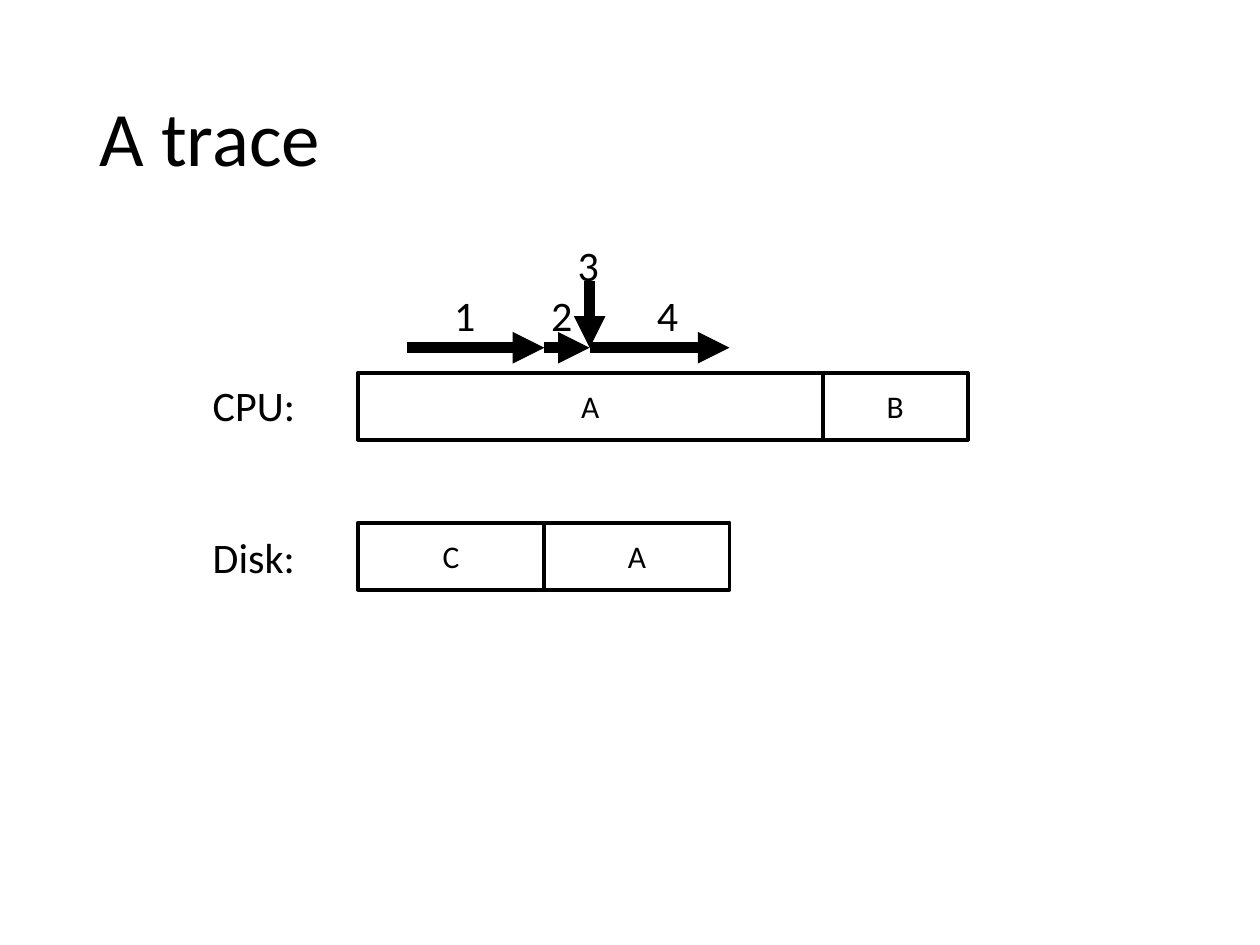
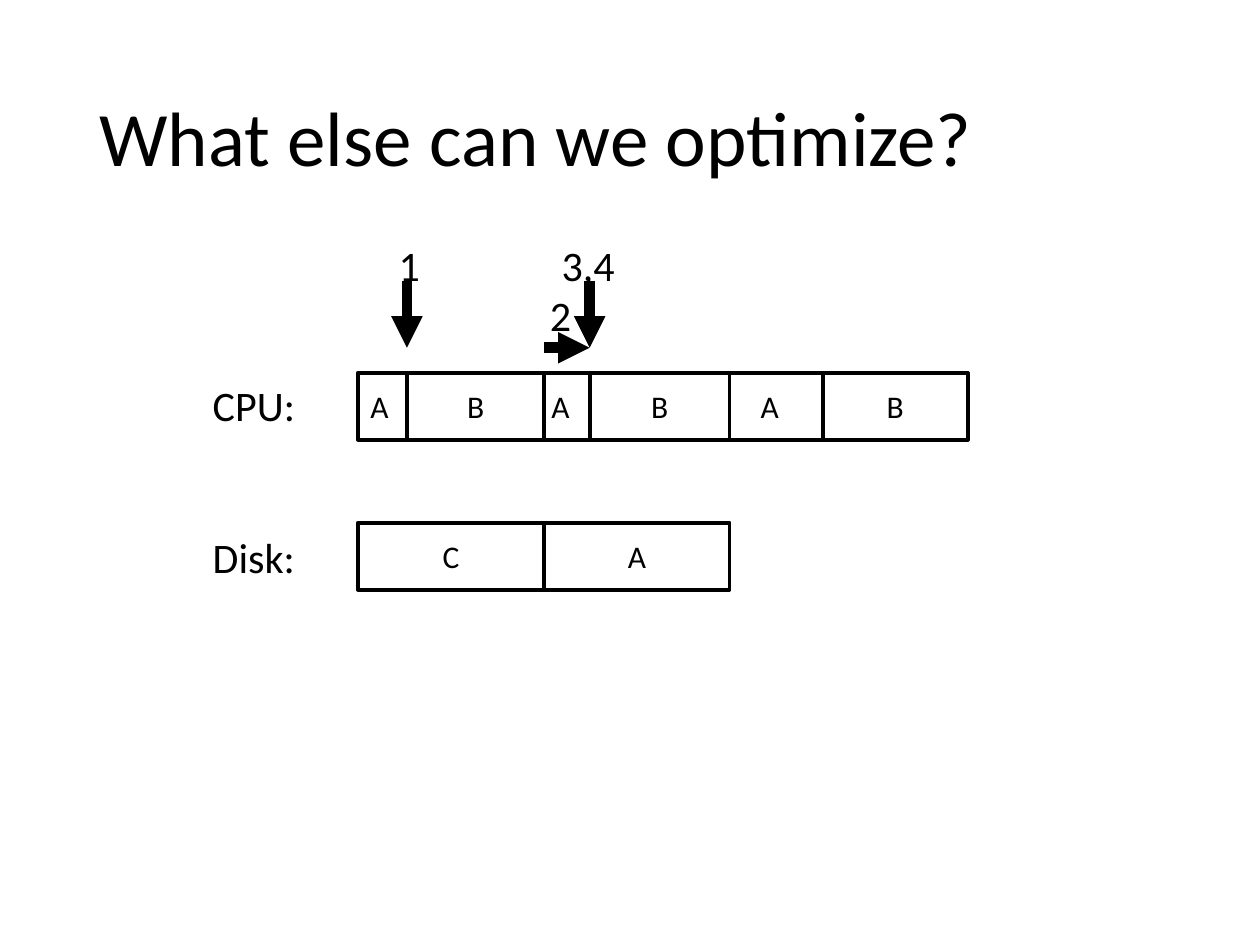
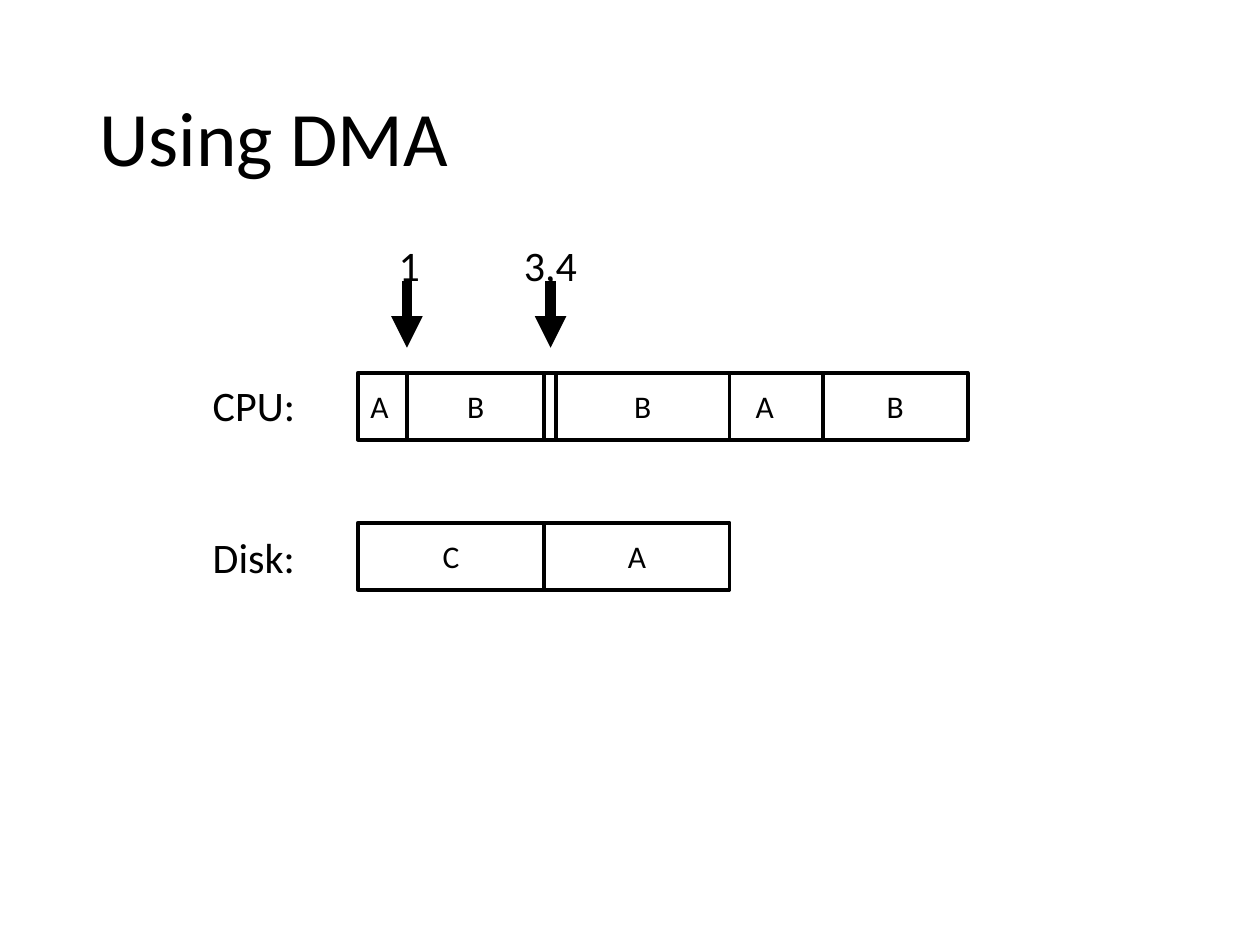
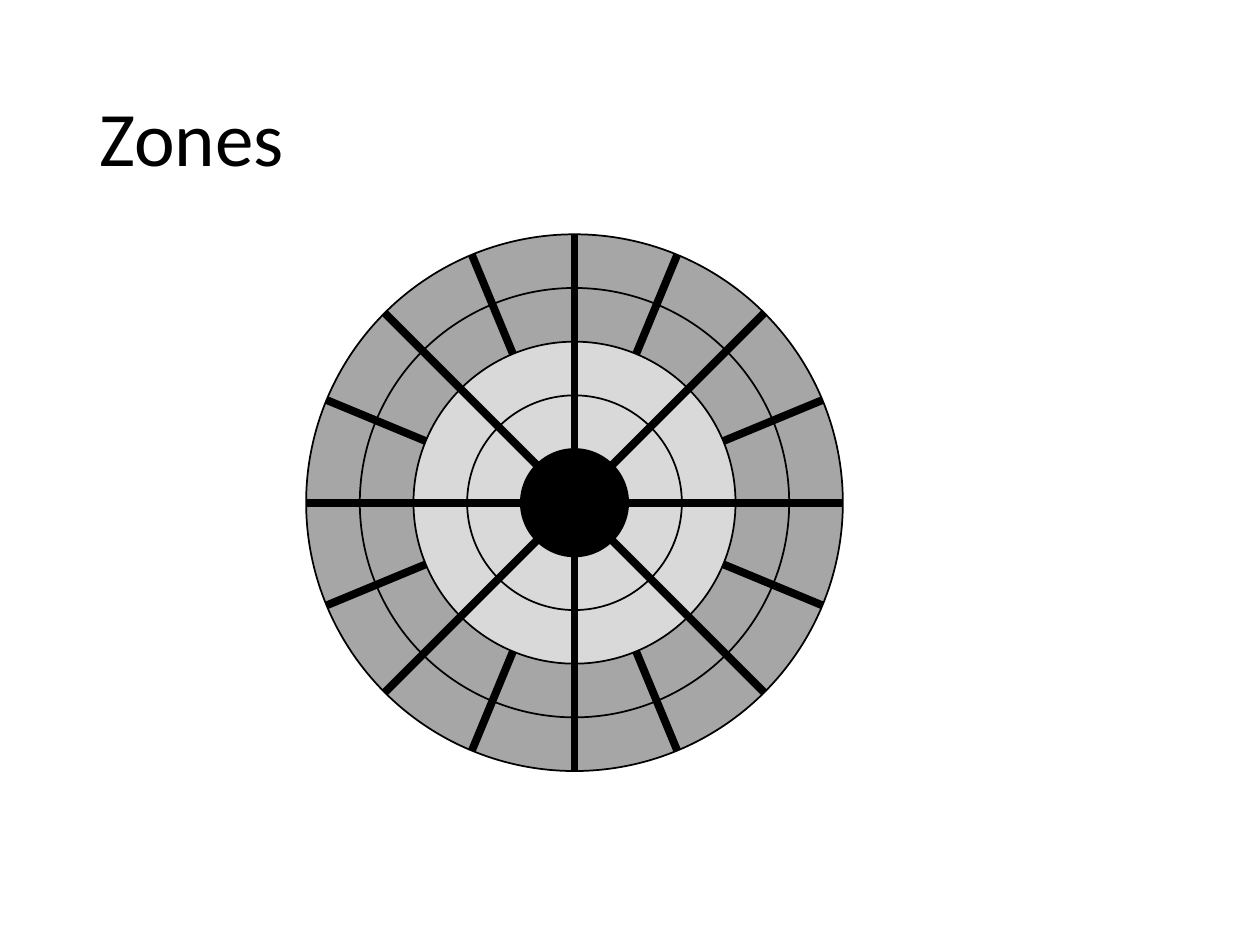
from dataclasses import dataclass
from math import cos, radians, sin

from pptx import Presentation
from pptx.dml.color import RGBColor
from pptx.enum.shapes import MSO_CONNECTOR, MSO_SHAPE
from pptx.enum.text import MSO_ANCHOR as Anchor, PP_ALIGN as Align
from pptx.oxml.ns import qn
from pptx.slide import Slide
from pptx.text.text import TextFrame
from pptx.util import Inches, Pt
from lxml.etree import SubElement

# Shared style
BLACK = RGBColor(0x00, 0x00, 0x00)
OUTER_ZONE = RGBColor(0xA6, 0xA6, 0xA6)
INNER_ZONE = RGBColor(0xD9, 0xD9, 0xD9)
FONT = "Calibri"

# Timeline: moments along x, and the rows
START, FIRST_YIELD, DISK_SWITCH, RESUME = 2.84, 3.23, 4.32, 4.68
DMA_IRQ, DMA_RESUME, DISK_DONE, A_DONE, END = 4.37, 4.41, 5.79, 6.53, 7.68
CPU_Y, DISK_Y, BAR_H = 2.96, 4.15, 0.53
MARKS_Y, ARROW_TOP, ARROW_Y = 1.85, 2.23, 2.76
INSET = 0.1

# Disk platter
CENTER_X, CENTER_Y, OUTER_R, ZONE_R = 4.56, 3.99, 2.13, 1.28
RING_COLORS = [OUTER_ZONE, OUTER_ZONE, INNER_ZONE, INNER_ZONE, BLACK]


@dataclass
class Bar:
    """One stretch of work; later letters are centred on the given x values."""
    letters: list[str]
    start: float
    end: float
    y: float = CPU_Y
    later_x: tuple[float, ...] = ()


@dataclass
class Arrow:
    x1: float
    x2: float
    y1: float = ARROW_Y
    y2: float = ARROW_Y


@dataclass
class Trace:
    title: str
    bars: list[Bar]
    arrows: list[Arrow]
    marks: list[dict[str, float]]  # one dict of label -> centre x per line


def down(x: float) -> Arrow:
    return Arrow(x, x, ARROW_TOP)


COMMON_BARS = [
    Bar(["B"], A_DONE, END),
    Bar(["C"], START, DISK_SWITCH, DISK_Y),
    Bar(["A"], DISK_SWITCH, DISK_DONE, DISK_Y),
]
FIRST_B = Bar(["B"], FIRST_YIELD, DISK_SWITCH)

TRACES = [
    Trace("A trace",
          [Bar(["A"], START, A_DONE), *COMMON_BARS],
          [Arrow(FIRST_YIELD, DISK_SWITCH), Arrow(DISK_SWITCH, RESUME),
           Arrow(RESUME, DISK_DONE), down(RESUME)],
          [{"3": 4.67}, {"1": 3.69, "2": 4.46, "4": 5.3}]),
    Trace("What else can we optimize?",
          [Bar(["A", "A", "A"], START, A_DONE, later_x=(4.45, 6.11)),
           *COMMON_BARS, FIRST_B, Bar(["B"], RESUME, DISK_DONE)],
          [Arrow(DISK_SWITCH, RESUME), down(RESUME), down(FIRST_YIELD)],
          [{"1": 3.25, "3,4": 4.67}, {"2": 4.45}]),
    Trace("Using DMA",
          [Bar(["A", "A"], START, A_DONE, later_x=(6.07,)),
           *COMMON_BARS, FIRST_B, Bar(["B"], DMA_RESUME, DISK_DONE)],
          [down(DMA_IRQ), down(FIRST_YIELD)],
          [{"1": 3.25, "3,4": 4.37}]),
]


def add_text(tf: TextFrame, text: str, *, size: float, align: Align = Align.LEFT,
             spacing: float | None = None, before: float = 0,
             tabs: tuple[float, ...] = ()) -> None:
    """Add a paragraph; tabs are centred stops in inches from the text edge."""
    p = tf.paragraphs[0] if not tf.text else tf.add_paragraph()
    p.alignment = align
    p.space_before = Pt(before)
    if spacing:
        p.line_spacing = spacing
    if tabs:
        stops = SubElement(p._p.get_or_add_pPr(), qn("a:tabLst"))
        for tab in tabs:
            SubElement(stops, qn("a:tab"), pos=str(Inches(tab)), algn="ctr")
    r = p.add_run()
    r.text = text
    r.font.name, r.font.size, r.font.color.rgb = FONT, Pt(size), BLACK


def add_box(s: Slide, x: float, y: float, w: float, h: float,
            wrap: bool = True) -> TextFrame:
    tf = s.shapes.add_textbox(Inches(x), Inches(y), Inches(w), Inches(h)).text_frame
    tf.word_wrap = wrap
    return tf


def add_title(s: Slide, text: str) -> None:
    tf = add_box(s, 0.69, 0.4, 8.62, 1.45)
    tf.vertical_anchor = Anchor.MIDDLE
    add_text(tf, text, size=44, spacing=0.9)


def add_outline(s: Slide, kind: MSO_SHAPE, x: float, y: float, w: float, h: float,
                width: float, fill: RGBColor | None = None) -> TextFrame:
    sp = s.shapes.add_shape(kind, Inches(x), Inches(y), Inches(w), Inches(h))
    sp.shadow.inherit = False
    if fill is None:
        sp.fill.background()
    else:
        sp.fill.solid()
        sp.fill.fore_color.rgb = fill
    sp.line.color.rgb, sp.line.width = BLACK, Pt(width)
    return sp.text_frame


def add_line(s: Slide, x1: float, y1: float, x2: float, y2: float,
             width: float, arrow: bool = False) -> None:
    c = s.shapes.add_connector(MSO_CONNECTOR.STRAIGHT, Inches(x1), Inches(y1),
                               Inches(x2), Inches(y2))
    c.line.color.rgb, c.line.width = BLACK, Pt(width)
    if arrow:
        SubElement(c.line._get_or_add_ln(), qn("a:tailEnd"), type="triangle")
    SubElement(c._element.spPr, qn("a:effectLst"))


def add_bar(s: Slide, bar: Bar) -> None:
    tf = add_outline(s, MSO_SHAPE.RECTANGLE, bar.start, bar.y,
                     bar.end - bar.start, BAR_H, 2.25)
    tf.vertical_anchor = Anchor.MIDDLE
    tabs = tuple(x - bar.start - INSET for x in bar.later_x)
    add_text(tf, "\t".join(bar.letters), size=18, tabs=tabs,
             align=Align.LEFT if tabs else Align.CENTER)


def draw_trace(s: Slide, trace: Trace) -> None:
    add_title(s, trace.title)
    # Row names
    tf = add_box(s, 1.59, CPU_Y, 0.86, 1.72, wrap=False)
    add_text(tf, "CPU:", size=24)
    add_text(tf, "Disk:", size=24, before=58.5)
    # Bars, then arrows with their step numbers
    for bar in trace.bars:
        add_bar(s, bar)
    for a in trace.arrows:
        add_line(s, a.x1, a.y1, a.x2, a.y2, 6, arrow=True)
    tf = add_box(s, START, MARKS_Y, 2.8, 0.91)
    for line in trace.marks:
        add_text(tf, "".join("\t" + label for label in line), size=24,
                 tabs=tuple(x - START - INSET for x in line.values()))


def add_spoke(s: Slide, angle: float, r1: float, r2: float) -> None:
    dx, dy = cos(radians(angle)), sin(radians(angle))
    add_line(s, CENTER_X + r1 * dx, CENTER_Y + r1 * dy,
             CENTER_X + r2 * dx, CENTER_Y + r2 * dy, 4.5)


def draw_zones(s: Slide) -> None:
    add_title(s, "Zones")
    # Tracks, from the rim to the hub
    count = len(RING_COLORS)
    for i, color in enumerate(RING_COLORS):
        r = OUTER_R * (count - i) / count
        add_outline(s, MSO_SHAPE.OVAL, CENTER_X - r, CENTER_Y - r, 2 * r, 2 * r, 1, color)
    # Sector borders: across the disk, then extra ones in the outer zone
    for i in range(4):
        add_spoke(s, 45 * i, -OUTER_R, OUTER_R)
    for i in range(8):
        add_spoke(s, 22.5 + 45 * i, ZONE_R, OUTER_R)


def main() -> None:
    prs = Presentation()
    prs.slide_width, prs.slide_height = Inches(10), Inches(7.5)
    blank = prs.slide_layouts[6]
    for trace in TRACES:
        draw_trace(prs.slides.add_slide(blank), trace)
    draw_zones(prs.slides.add_slide(blank))
    prs.save("out.pptx")


if __name__ == "__main__":
    main()
